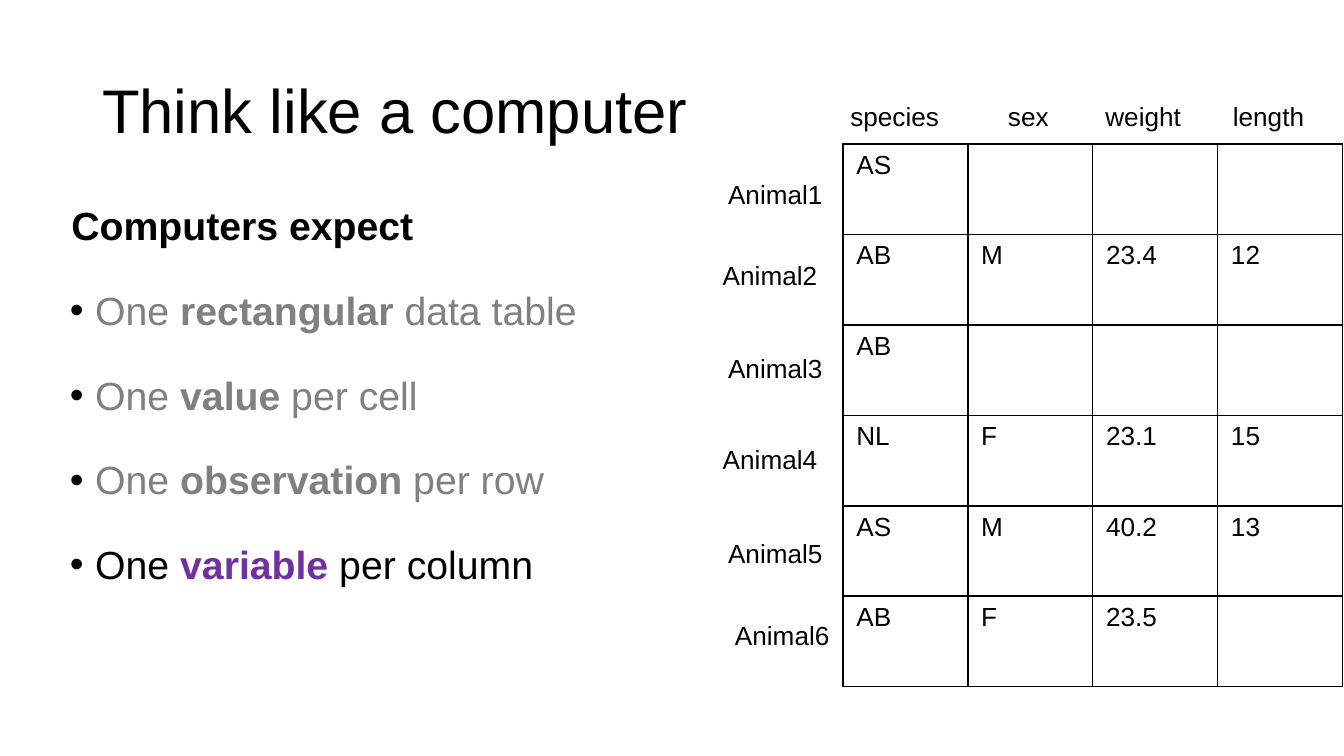
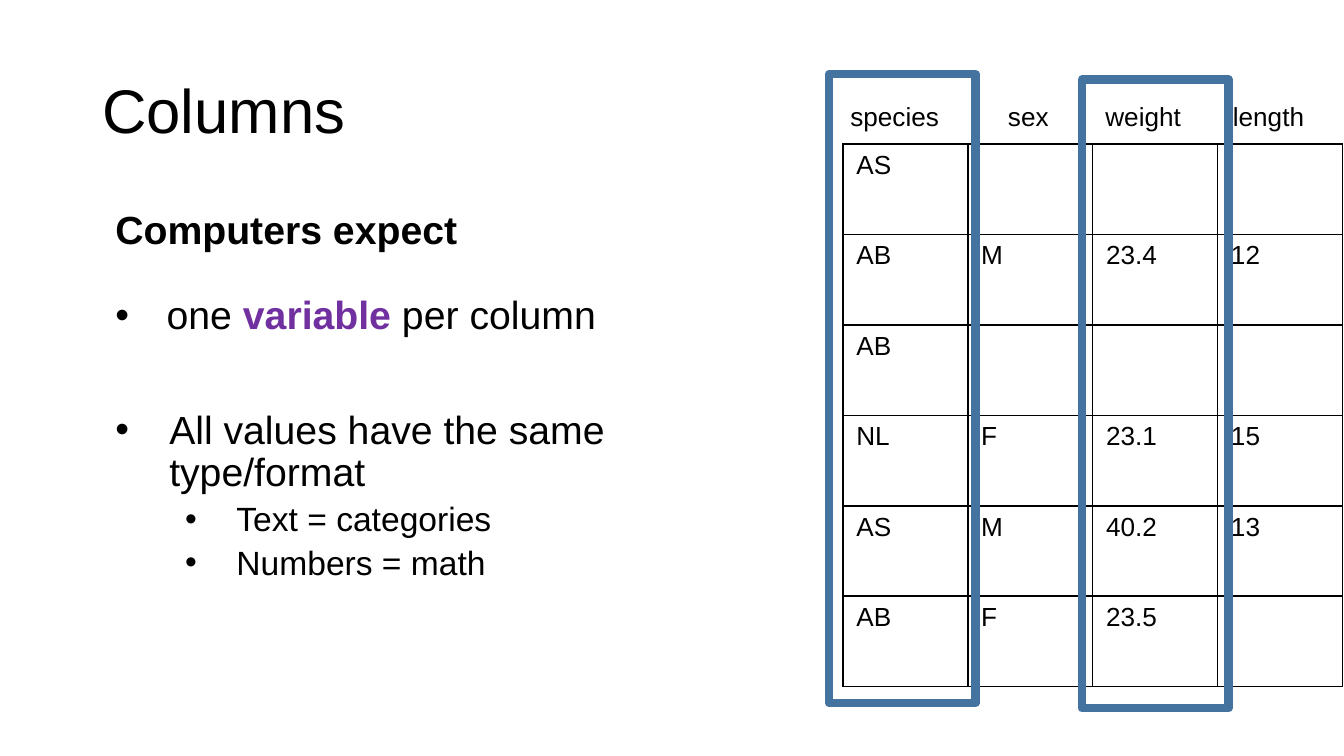
from dataclasses import dataclass

from lxml import etree
from pptx import Presentation
from pptx.dml.color import RGBColor
from pptx.enum.shapes import MSO_SHAPE
from pptx.enum.text import MSO_ANCHOR, MSO_AUTO_SIZE, PP_ALIGN
from pptx.oxml.ns import qn
from pptx.util import Cm, Pt

LEFT, CENTER = PP_ALIGN.LEFT, PP_ALIGN.CENTER
MIDDLE = MSO_ANCHOR.MIDDLE
FIT_SHAPE, NO_FIT = MSO_AUTO_SIZE.SHAPE_TO_FIT_TEXT, MSO_AUTO_SIZE.NONE
RECTANGLE = MSO_SHAPE.RECTANGLE
TITLE_ONLY = 5


@dataclass(frozen=True)
class Theme:
    font: str = "Arial"
    text: str = "000000"
    faded: str = "808080"
    accent: str = "7030A0"
    frame: str = "43739E"
    title_size: float = 33
    body_size: float = 21
    detail_size: float = 18
    label_size: float = 14
    line_spacing: float = 0.9
    wide_gap: float = 22.7
    frame_width: float = 4.5
    grid_width: float = 1


THEME = Theme()

TABLE_LEFT, TABLE_TOP = 15.93, 2.72
COLUMN_WIDTH, ROW_HEIGHT = 2.36, 1.71
LABEL_WIDTH, LABEL_HEIGHT = 2.41, 0.89
HEADER_LEFT, HEADER_TOP = 15.82, 1.78

VARIABLES = ["species", "sex", "weight", "length"]
OBSERVATIONS = [
    ["AS", "", "", ""],
    ["AB", "M", "23.4", "12"],
    ["AB", "", "", ""],
    ["NL", "F", "23.1", "15"],
    ["AS", "M", "40.2", "13"],
    ["AB", "F", "23.5", ""],
]
ANIMAL_POSITIONS = [(13.51, 3.25), (13.41, 4.78), (13.51, 6.53),
                    (13.41, 8.26), (13.51, 10.03), (13.64, 11.58)]


def add_run(paragraph, text, size, color=THEME.text, bold=False):
    run = paragraph.add_run()
    run.text = text
    run.font.name = THEME.font
    run.font.size = Pt(size)
    run.font.bold = bold
    run.font.color.rgb = RGBColor.from_string(color)


def set_insets(frame, sides, ends):
    frame.margin_left = frame.margin_right = Cm(sides)
    frame.margin_top = frame.margin_bottom = Cm(ends)


def set_indent(paragraph, margin, hanging=0.0):
    properties = paragraph._p.get_or_add_pPr()
    properties.set("marL", str(Cm(margin)))
    properties.set("indent", str(-Cm(hanging)))
    return properties


def add_bullet(properties):
    color = etree.SubElement(properties, qn("a:buClr"))
    etree.SubElement(color, qn("a:srgbClr"), val=THEME.text)
    etree.SubElement(properties, qn("a:buFont"), typeface=THEME.font)
    etree.SubElement(properties, qn("a:buChar"), char="•")


def add_titled_slide(deck, heading, ends):
    slide = deck.slides.add_slide(deck.slide_layouts[TITLE_ONLY])
    title = slide.shapes.title
    title.left, title.top, title.width, title.height = (
        Cm(1.75), Cm(0.76), Cm(21.9), Cm(2.77))
    frame = title.text_frame
    frame.auto_size = NO_FIT
    frame.word_wrap = True
    frame.vertical_anchor = MIDDLE
    set_insets(frame, 0.18, ends)
    paragraph = frame.paragraphs[0]
    paragraph.alignment = LEFT
    paragraph.line_spacing = THEME.line_spacing
    add_run(paragraph, heading, THEME.title_size)
    return slide


def add_body(slide, left, width, ends, heading_indent):
    """Add the text area with its bold heading and return its frame."""
    box = slide.shapes.add_textbox(Cm(left), Cm(3.81), Cm(width), Cm(9.07))
    frame = box.text_frame
    frame.word_wrap = True
    set_insets(frame, 0.18, ends)
    heading = frame.paragraphs[0]
    set_indent(heading, heading_indent)
    heading.line_spacing = THEME.line_spacing
    add_run(heading, "Computers expect", THEME.body_size, bold=True)
    return frame


def add_point(frame, parts, margin, hanging, gap=THEME.wide_gap,
              size=THEME.body_size, level=0):
    """Add a bulleted paragraph; parts are (text, colour, bold) tuples."""
    paragraph = frame.add_paragraph()
    paragraph.level = level
    add_bullet(set_indent(paragraph, margin, hanging))
    paragraph.line_spacing = THEME.line_spacing
    paragraph.space_before = Pt(gap)
    for text, color, bold in parts:
        add_run(paragraph, text, size, color, bold)


def add_label(slide, text, left, top, alignment=LEFT):
    box = slide.shapes.add_textbox(Cm(left), Cm(top), Cm(LABEL_WIDTH), Cm(LABEL_HEIGHT))
    frame = box.text_frame
    frame.word_wrap = True
    frame.auto_size = FIT_SHAPE
    frame.paragraphs[0].alignment = alignment
    add_run(frame.paragraphs[0], text, THEME.label_size)


def add_cell_borders(cell):
    properties = cell._tc.get_or_add_tcPr()
    for side in ("lnL", "lnR", "lnT", "lnB"):
        line = etree.SubElement(properties, qn(f"a:{side}"), w=str(Pt(THEME.grid_width)))
        fill = etree.SubElement(line, qn("a:solidFill"))
        etree.SubElement(fill, qn("a:srgbClr"), val=THEME.text)


def add_data_table(slide):
    rows, columns = len(OBSERVATIONS), len(VARIABLES)
    table = slide.shapes.add_table(
        rows, columns, Cm(TABLE_LEFT), Cm(TABLE_TOP),
        Cm(COLUMN_WIDTH * columns), Cm(ROW_HEIGHT * rows)).table
    table.first_row = table.horz_banding = False
    for column in table.columns:
        column.width = Cm(COLUMN_WIDTH)
    for row, values in enumerate(OBSERVATIONS):
        table.rows[row].height = Cm(ROW_HEIGHT)
        for column, value in enumerate(values):
            cell = table.cell(row, column)
            add_cell_borders(cell)
            cell.fill.background()
            if value:
                add_run(cell.text_frame.paragraphs[0], value, THEME.label_size)


def add_variable_labels(slide):
    for column, variable in enumerate(VARIABLES):
        add_label(slide, variable, HEADER_LEFT + column * LABEL_WIDTH, HEADER_TOP,
                  CENTER if variable == "sex" else LEFT)


def add_column_frame(slide, left, top):
    frame = slide.shapes.add_shape(RECTANGLE, Cm(left), Cm(top), Cm(2.77), Cm(11.89))
    frame.shadow.inherit = False
    frame.fill.background()
    frame.line.color.rgb = RGBColor.from_string(THEME.frame)
    frame.line.width = Pt(THEME.frame_width)


def build_computer_slide(deck):
    slide = add_titled_slide(deck, "Think like a computer", 0.1)
    body = add_body(slide, 1.14, 12.27, 0.1, 0.03)
    rules = [
        ("rectangular", " data table", THEME.faded, THEME.faded),
        ("value", " per cell", THEME.faded, THEME.faded),
        ("observation", " per row", THEME.faded, THEME.faded),
        ("variable", " per column", THEME.text, THEME.accent),
    ]
    for keyword, ending, color, keyword_color in rules:
        parts = [("One ", color, False), (keyword, keyword_color, True),
                 (ending, color, False)]
        add_point(body, parts, 0.48, 0.48)
    add_data_table(slide)
    for number, (left, top) in enumerate(ANIMAL_POSITIONS, start=1):
        add_label(slide, f"Animal{number}", left, top)
    add_variable_labels(slide)


def build_columns_slide(deck):
    slide = add_titled_slide(deck, "Columns", 0.18)
    body = add_body(slide, 1.75, 10.8, 0.18, 0.25)
    add_point(body, [("one ", THEME.text, False), ("variable", THEME.accent, True),
                     (" per column", THEME.text, False)], 1.22, 0.97)
    add_point(body, [("All values have the same type/format", THEME.text, False)],
              1.27, 1.02, gap=THEME.wide_gap + 16)
    for detail in ("Text = categories", "Numbers = math"):
        add_point(body, [(detail, THEME.text, False)], 2.54, 0.97,
                  gap=4, size=THEME.detail_size, level=1)
    add_data_table(slide)
    add_variable_labels(slide)
    add_column_frame(slide, 15.67, 1.4)
    add_column_frame(slide, 20.45, 1.5)


def main():
    deck = Presentation()
    deck.slide_width, deck.slide_height = Cm(25.4), Cm(14.29)
    build_computer_slide(deck)
    build_columns_slide(deck)
    deck.save("out.pptx")


if __name__ == "__main__":
    main()
